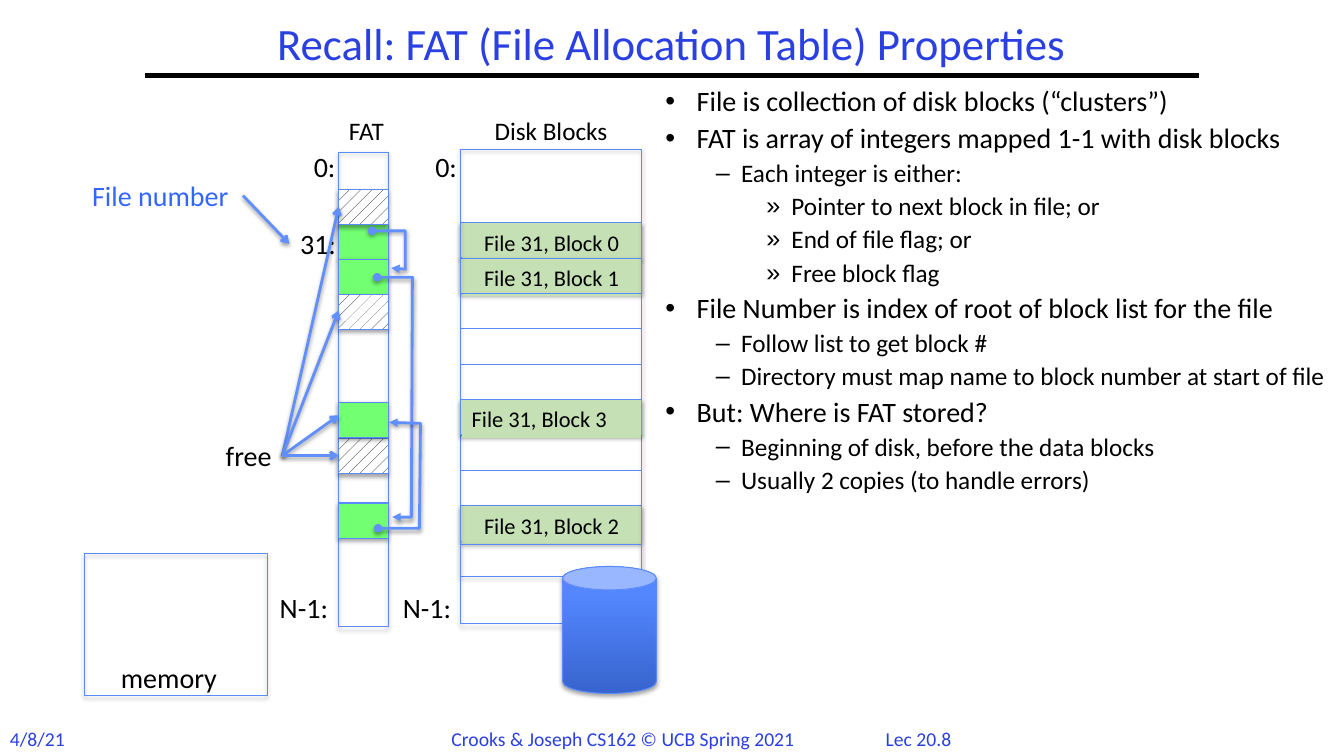
from lxml import etree
from pptx import Presentation
from pptx import util as u
from pptx.dml.color import RGBColor
from pptx.enum import dml, shapes, text
from pptx.oxml import ns

COLORS = {
    "black": "000000", "white": "FFFFFF", "title": "2A40E2", "link": "3366FF",
    "border": "5B8AFB", "arrow": "618FFD", "used": "72FF72", "block": "C5E0B4",
    "disk_dark": "3764CE", "disk_light": "5487FF",
}
FONT = "Calibri"
CENTER, LEFT = text.PP_ALIGN.CENTER, text.PP_ALIGN.LEFT
FAT_LEFT, FAT_WIDTH, CELL_HEIGHT = 3.36, 0.49, 0.35
DISK_LEFT, DISK_WIDTH, FIRST_ROW, ROW_PITCH = 4.57, 1.79, 2.21, 0.351
FILE_ROWS = {0: 0, 1: 1, 8: 2, 5: 3}

LEVELS = [
    {"bullet": "•", "size": 20, "margin": 0.31, "hanging": 0.31},
    {"bullet": "–", "size": 18, "margin": 0.75, "hanging": 0.25},
    {"bullet": "»", "size": 18, "margin": 1.25, "hanging": 0.25},
]
POINTS = [
    (0, "File is collection of disk blocks (“clusters”)"),
    (0, "FAT is array of integers mapped 1-1 with disk blocks"),
    (1, "Each integer is either:"),
    (2, "Pointer to next block in file; or"),
    (2, "End of file flag; or"),
    (2, "Free block flag"),
    (0, "File Number is index of root of block list for the file"),
    (1, "Follow list to get block #"),
    (1, "Directory must map name to block number at start of file"),
    (0, "But: Where is FAT stored?"),
    (1, "Beginning of disk, before the data blocks"),
    (1, "Usually 2 copies (to handle errors)"),
]
LABELS = [
    ("Disk Blocks", 4.61, 1.09, 1.71, 0.4, 18),
    ("FAT", 3.31, 1.09, 0.65, 0.4, 18),
    ("N-1:", 3.86, 5.81, 0.75, 0.44, 20),
    ("0:", 4.19, 1.43, 0.47, 0.44, 20),
    ("0:", 3, 1.43, 0.44, 0.44, 20),
    ("N-1:", 2.65, 5.81, 0.73, 0.44, 20),
    ("31:", 2.86, 2.2, 0.59, 0.44, 20),
    ("memory", 1.07, 6.5, 1.21, 0.44, 20),
]
CHAINS = [
    [(3.69, 2.29), (4.02, 2.29), (4.02, 2.67), (3.88, 2.66)],
    [(3.74, 2.75), (4.09, 2.75), (4.08, 5.13), (3.89, 5.13)],
    [(3.75, 5.24), (4.16, 5.24), (4.17, 4.2), (3.86, 4.19)],
]


def rgb(name):
    return RGBColor.from_string(COLORS[name])


def add_element(parent, tag, **attributes):
    return etree.SubElement(parent, ns.qn(tag), attributes)


def set_effects(shape, opacity=None):
    effects = add_element(shape._element.spPr, "a:effectLst")
    if opacity:
        shadow = add_element(effects, "a:outerShdw", blurRad=str(u.Pt(3.1)),
                             dist=str(u.Pt(1.8)), dir="5400000", rotWithShape="0")
        color = add_element(shadow, "a:srgbClr", val=COLORS["black"])
        add_element(color, "a:alpha", val=str(opacity * 1000))


def set_line(shape, color, width, head=None, tail=None):
    shape.line.color.rgb = rgb(color)
    shape.line.width = u.Pt(width)
    line = shape._element.spPr.find(ns.qn("a:ln"))
    for tag, kind in (("a:headEnd", head), ("a:tailEnd", tail)):
        if kind:
            add_element(line, tag, type=kind)


def set_text(paragraph, words, size, color="black", **paragraph_format):
    paragraph.text = words
    for name, value in paragraph_format.items():
        setattr(paragraph, name, value)
    font = paragraph.runs[0].font
    font_format = {"name": FONT, "size": u.Pt(size), "bold": False}
    for name, value in font_format.items():
        setattr(font, name, value)
    font.color.rgb = rgb(color)


def place(shape, left, top, width, height):
    position = {"left": left, "top": top, "width": width, "height": height}
    for name, value in position.items():
        setattr(shape, name, u.Inches(value))


def add_label(slide, words, left, top, width, height, size, color="black",
              alignment=CENTER, fill=None):
    box = slide.shapes.add_textbox(*map(u.Inches, (left, top, width, height)))
    box.text_frame.word_wrap = alignment == LEFT
    if fill:
        box.fill.solid()
        box.fill.fore_color.rgb = rgb(fill)
    set_text(box.text_frame.paragraphs[0], words, size, color, alignment=alignment)


def add_box(slide, left, top, width, height, fill=None, shadow=True,
            kind=shapes.MSO_SHAPE.RECTANGLE):
    box = slide.shapes.add_shape(kind, *map(u.Inches, (left, top, width, height)))
    if fill == "hatch":
        box.fill.patterned()
        box.fill.pattern = dml.MSO_PATTERN.PERCENT_10
        box.fill.fore_color.rgb = rgb("black")
        box.fill.back_color.rgb = rgb("white")
    elif fill:
        box.fill.solid()
        box.fill.fore_color.rgb = rgb(fill)
    else:
        box.fill.background()
    set_line(box, "border", 0.75)
    set_effects(box, 35 if shadow else None)
    return box


def add_line(slide, start, end, color="arrow", width=2, tail="arrow", opacity=38):
    line = slide.shapes.add_connector(shapes.MSO_CONNECTOR.STRAIGHT,
                                      *map(u.Inches, start + end))
    set_line(line, color, width, tail=tail)
    set_effects(line, opacity)


def add_chain(slide, points):
    start, *rest = [tuple(map(u.Inches, point)) for point in points]
    builder = slide.shapes.build_freeform(*start)
    builder.add_line_segments(rest, close=False)
    chain = builder.convert_to_shape()
    chain.fill.background()
    set_line(chain, "arrow", 2, head="oval", tail="triangle")
    set_effects(chain, 38)


def add_fat_cells(slide, tops, fill):
    for top in tops:
        add_box(slide, FAT_LEFT, top, FAT_WIDTH, CELL_HEIGHT, fill)


def add_disk_row(slide, row):
    top = FIRST_ROW + row * ROW_PITCH
    if row not in FILE_ROWS:
        add_box(slide, DISK_LEFT, top, DISK_WIDTH, CELL_HEIGHT, shadow=False)
        return
    block = FILE_ROWS[row]
    add_box(slide, DISK_LEFT, top, DISK_WIDTH, CELL_HEIGHT, "block")
    add_label(slide, f"File 31, Block {block}", DISK_LEFT + 0.01, top + 0.01, 1.78, 0.37,
              16, alignment=LEFT if block == 3 else CENTER, fill="block")


def add_disk(slide):
    disk = add_box(slide, 5.58, 5.62, 0.93, 1.26, kind=shapes.MSO_SHAPE.CAN)
    disk.fill.gradient()
    disk.fill.gradient_angle = 90
    stops = zip(disk.fill.gradient_stops, ("disk_dark", "disk_light"), (0, 0.8))
    for stop, color, position in stops:
        stop.color.rgb = rgb(color)
        stop.position = position


def fill_title(title):
    place(title, 1.44, 0.17, 10.44, 0.58)
    title.text_frame.auto_size = text.MSO_AUTO_SIZE.NONE
    title.text_frame.vertical_anchor = text.MSO_ANCHOR.MIDDLE
    set_text(title.text_frame.paragraphs[0], "Recall: FAT (File Allocation Table) Properties",
             32, "title", alignment=CENTER, line_spacing=0.9)


def fill_body(body):
    place(body, 6.5, 0.83, 6.75, 5.85)
    frame = body.text_frame
    frame.auto_size = text.MSO_AUTO_SIZE.NONE
    for index, (level, words) in enumerate(POINTS):
        paragraph = frame.add_paragraph() if index else frame.paragraphs[0]
        style = LEVELS[level]
        set_text(paragraph, words, style["size"], level=level, line_spacing=0.85,
                 space_before=u.Pt(style["size"] * 0.3))
        properties = paragraph._p.get_or_add_pPr()
        properties.set("marL", str(u.Inches(style["margin"])))
        properties.set("indent", str(-u.Inches(style["hanging"])))
        add_element(properties, "a:buChar", char=style["bullet"])


def main():
    presentation = Presentation()
    presentation.slide_width, presentation.slide_height = u.Inches(13.33), u.Inches(7.5)
    slide = presentation.slides.add_slide(presentation.slide_layouts[1])
    fill_title(slide.shapes.title)
    fill_body(slide.placeholders[1])
    add_line(slide, (1.44, 0.75), (11.89, 0.75), "black", 3, None, None)
    add_label(slide, "Lec 20.8", 8.5, 7.16, 1.22, 0.33, 14, "title")
    add_label(slide, "4/8/21", 0, 7.16, 0.8, 0.34, 14, "title", LEFT)
    add_label(slide, "Crooks & Joseph CS162 © UCB Spring 2021", 4.38, 7.16, 3.76, 0.34,
              14, "title", LEFT)

    for row in (0, 1, 2, 3, 4, 6, 7, 8):
        add_disk_row(slide, row)
    add_box(slide, DISK_LEFT, 5.4, DISK_WIDTH, 0.32)
    add_box(slide, DISK_LEFT, 1.48, DISK_WIDTH, 4.71)
    add_disk_row(slide, 5)
    add_box(slide, FAT_LEFT, 1.51, FAT_WIDTH, 4.71)
    add_fat_cells(slide, (2.22, 2.57, 4.99), "used")
    add_fat_cells(slide, (1.88, 2.92, 4.35), "hatch")
    add_fat_cells(slide, (3.99,), "used")
    add_box(slide, 0.84, 5.49, 1.81, 1.41)
    add_disk(slide)

    for label in LABELS:
        add_label(slide, *label)
    add_label(slide, "File number", 0.75, 1.72, 1.68, 0.44, 20, "link")
    add_label(slide, "free", 2.14, 4.3, 0.68, 0.44, 20, alignment=LEFT)
    add_line(slide, (2.41, 1.94), (2.87, 2.42))
    for cell_middle in (2.05, 3.08, 4.12, 4.52):
        add_line(slide, (2.8, 4.52), (FAT_LEFT, cell_middle))
    for chain in CHAINS:
        add_chain(slide, chain)
    presentation.save("out.pptx")


if __name__ == "__main__":
    main()
